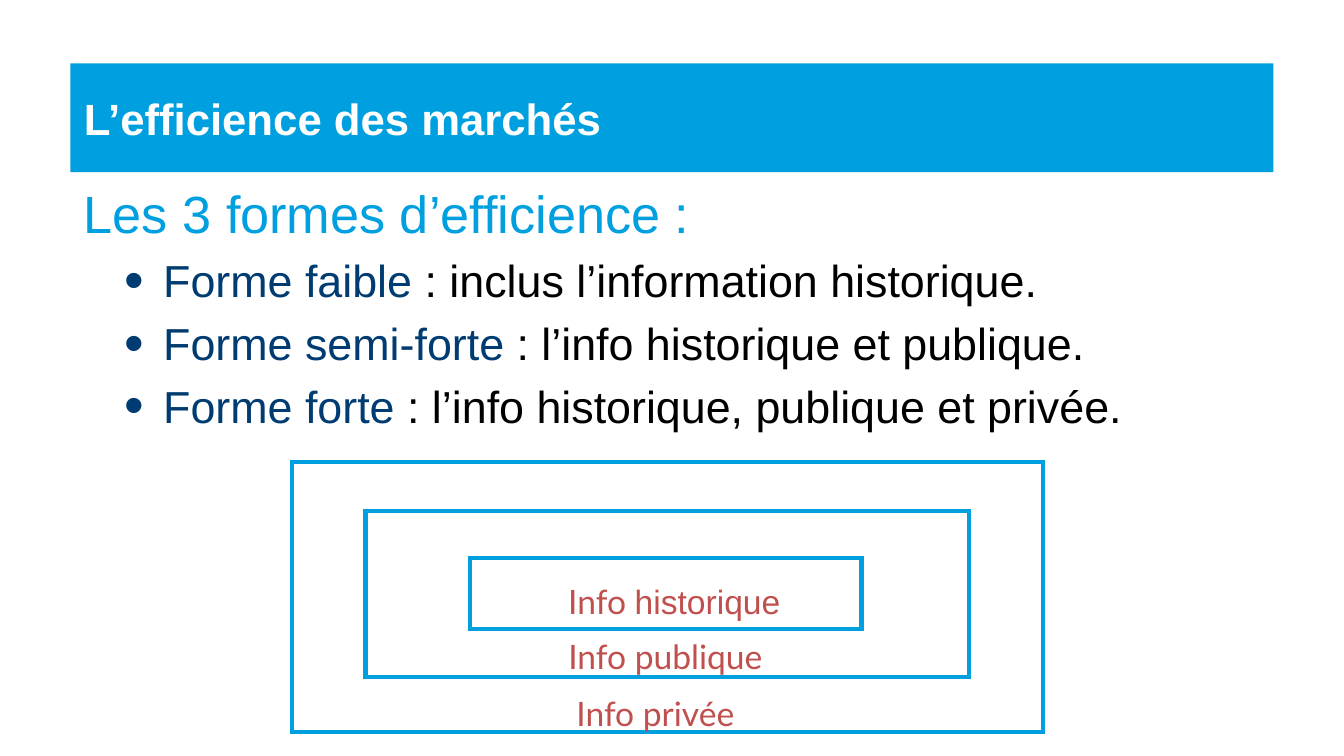
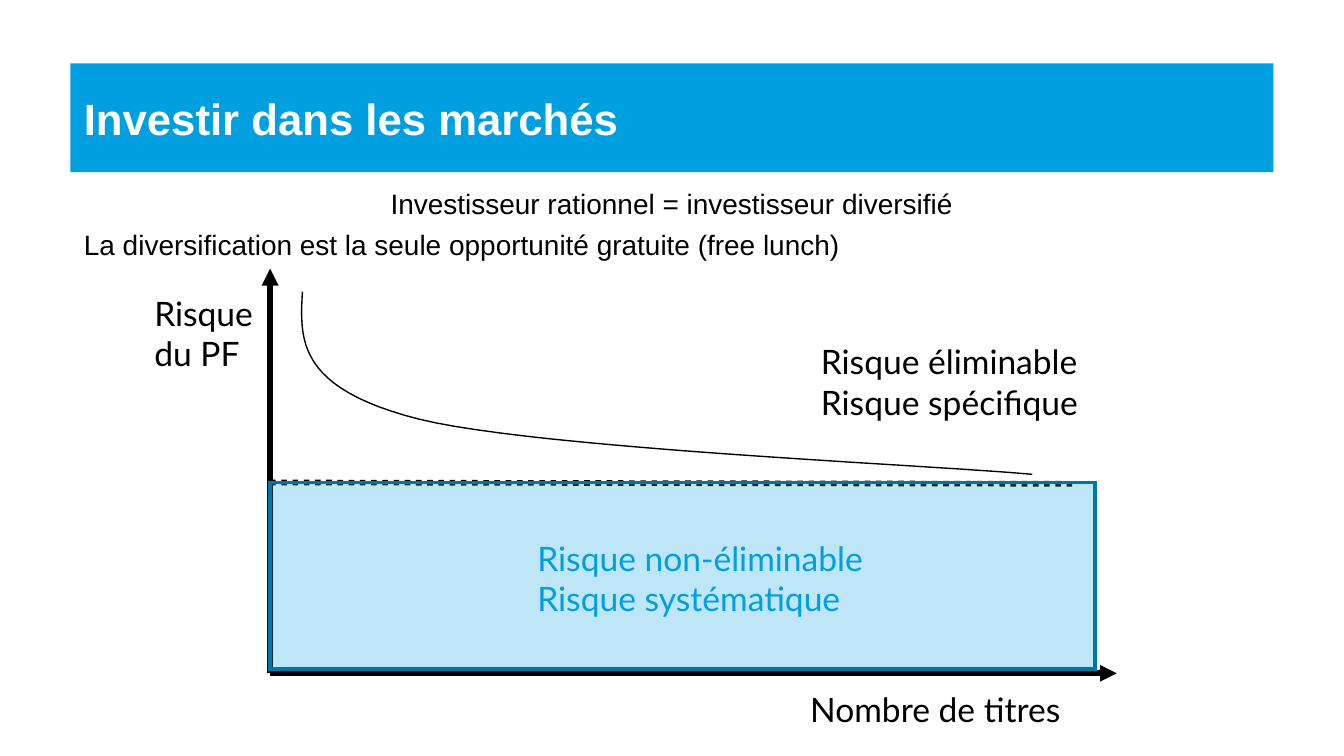
from typing import NamedTuple, Optional

from lxml.etree import SubElement
from pptx import Presentation
from pptx.dml.color import RGBColor
from pptx.enum.dml import MSO_LINE
from pptx.enum.shapes import MSO_CONNECTOR, MSO_SHAPE
from pptx.enum.text import MSO_ANCHOR, MSO_AUTO_SIZE, PP_ALIGN
from pptx.oxml.ns import qn
from pptx.util import Emu, Inches, Pt

# Palette and fonts
SKY = RGBColor(0x00, 0x9F, 0xDF)
NAVY = RGBColor(0x00, 0x3C, 0x71)
TEAL = RGBColor(0x00, 0x76, 0xA5)
RED = RGBColor(0xC0, 0x50, 0x4D)
BLACK = RGBColor(0x00, 0x00, 0x00)
WHITE = RGBColor(0xFF, 0xFF, 0xFF)
ARIAL, LATO = "Arial", "Lato"

# Grid: 100 columns by 56.25 rows, each a tenth of an inch
UNIT = Inches(0.1)
COLS, ROWS = 100, 56.25


def grid(count: float) -> Emu:
    return Emu(round(count * UNIT))


class Box(NamedTuple):
    left: float
    top: float
    width: float
    height: float

    def place(self) -> list[Emu]:
        return [grid(side) for side in self]


class Run(NamedTuple):
    text: str
    color: Optional[RGBColor] = None
    font: Optional[str] = None


class Label(NamedTuple):
    box: Box
    lines: list
    color: RGBColor = BLACK
    wrap: bool = False


class Line(NamedTuple):
    start: tuple[float, float]
    end: tuple[float, float]
    arrow: bool = False
    dash: Optional[MSO_LINE] = None


BAND = Box(5.24, 4.72, 89.5, 8.1)


# Text
def write(frame, lines, *, size, color=BLACK, font=ARIAL, bold=False,
          align=PP_ALIGN.LEFT, before=0, bullet=False, more=False) -> None:
    """Write lines, each a string or a list of runs; more adds to the frame."""
    for nth, line in enumerate(lines):
        first = nth == 0 and not more
        par = frame.paragraphs[0] if first else frame.add_paragraph()
        par.alignment = align
        par.space_before = Pt(0 if first else before)
        props = par._p.get_or_add_pPr()
        if bullet:
            par.level = 1
            mark(props)
        else:
            props.set("marL", "0")
            props.set("indent", "0")
            SubElement(props, qn("a:buNone"))
        for part in [Run(line)] if isinstance(line, str) else line:
            run = par.add_run()
            run.text = part.text
            run.font.name = part.font or font
            run.font.size = Pt(size)
            run.font.bold = bold
            run.font.color.rgb = part.color or color


def mark(props) -> None:
    """Give a paragraph the round navy bullet and its hanging indent."""
    props.set("marL", str(grid(5.9)))
    props.set("indent", str(grid(-2.9)))
    tint = SubElement(props, qn("a:buClr"))
    SubElement(tint, qn("a:srgbClr"), val=str(NAVY))
    SubElement(props, qn("a:buSzPct"), val="125000")
    SubElement(props, qn("a:buFont"), typeface=ARIAL)
    SubElement(props, qn("a:buChar"), char="•")


def draw_label(slide, label: Label) -> None:
    frame = slide.shapes.add_textbox(*label.box.place()).text_frame
    frame.word_wrap = label.wrap
    frame.auto_size = MSO_AUTO_SIZE.SHAPE_TO_FIT_TEXT
    write(frame, label.lines, size=18, color=label.color, font=LATO)


# Shapes
def draw_rect(slide, box: Box, *, line: RGBColor, width: float,
              fill: Optional[RGBColor] = None, alpha: int = 100) -> None:
    rect = slide.shapes.add_shape(MSO_SHAPE.RECTANGLE, *box.place())
    rect.shadow.inherit = False
    rect.line.color.rgb = line
    rect.line.width = Pt(width)
    SubElement(rect.line._get_or_add_ln(), qn("a:miter"), lim="800000")
    if fill is None:
        rect.fill.background()
        return
    rect.fill.solid()
    rect.fill.fore_color.rgb = fill
    tint = rect._element.spPr.find(f"{qn('a:solidFill')}/{qn('a:srgbClr')}")
    SubElement(tint, qn("a:alpha"), val=str(alpha * 1000))


def draw_line(slide, line: Line) -> None:
    ends = [grid(n) for n in (*line.start, *line.end)]
    link = slide.shapes.add_connector(MSO_CONNECTOR.STRAIGHT, *ends)
    link.line.color.rgb = BLACK
    link.line.width = Pt(3)
    if line.dash:
        link.line.dash_style = line.dash
    if line.arrow:
        SubElement(link.line._get_or_add_ln(), qn("a:tailEnd"), type="triangle")
    SubElement(link._element.spPr, qn("a:effectLst"))


def draw_curve(slide, start, arcs, steps: int = 24) -> None:
    """Trace cubic arcs, each two handles and an end, as short chords."""
    dots, here = [], start
    for arc in arcs:
        knots = (here, *arc)
        for step in range(1, steps + 1):
            t = step / steps
            s = 1 - t
            rates = (s**3, 3 * s * s * t, 3 * s * t * t, t**3)
            dots.append(tuple(
                grid(sum(rate * knot[axis] for rate, knot in zip(rates, knots)))
                for axis in (0, 1)))
        here = arc[-1]
    pen = slide.shapes.build_freeform(grid(start[0]), grid(start[1]))
    pen.add_line_segments(dots, close=False)
    curve = pen.convert_to_shape()
    curve.shadow.inherit = False
    curve.fill.background()
    curve.line.color.rgb = BLACK
    curve.line.width = Pt(0.75)


# Shared page: title band and body
def add_page(deck, title: str, body: Box):
    slide = deck.slides.add_slide(deck.slide_layouts[1])
    band, text = slide.placeholders
    for holder, box in ((band, BAND), (text, body)):
        holder.left, holder.top, holder.width, holder.height = box.place()
        holder.text_frame.auto_size = MSO_AUTO_SIZE.NONE
    band.fill.solid()
    band.fill.fore_color.rgb = SKY
    band.text_frame.vertical_anchor = MSO_ANCHOR.MIDDLE
    write(band.text_frame, [title], size=23.4, color=WHITE, bold=True)
    return slide, text.text_frame


def add_forms(deck) -> None:
    slide, body = add_page(deck, "L’efficience des marchés",
                           Box(5.24, 13, 89.5, 33.9))
    write(body, ["Les 3 formes d’efficience :"], size=28, color=SKY)
    forms = [
        ("Forme faible ", ": inclus l’information historique."),
        ("Forme semi-forte ", ": l’info historique et publique."),
        ("Forme forte ", ": l’info historique, publique et privée."),
    ]
    write(body, [[Run(name, NAVY), Run(rest)] for name, rest in forms],
          size=24, before=4.8, bullet=True, more=True)

    # Nested levels of information
    for box in (Box(35, 41.5, 29.1, 5.3), Box(27.2, 38, 44.9, 12.4),
                Box(21.7, 34.4, 55.9, 20.1)):
        draw_rect(slide, box, line=SKY, width=2.25)
    past = [Run("Info "), Run("historique", font=ARIAL)]
    for label in (
        Label(Box(41.3, 42.7, 19, 4), [past], RED, wrap=True),
        Label(Box(41.3, 46.8, 16.8, 4), ["Info publique"], RED),
        Label(Box(41.9, 51.1, 14.1, 4), ["Info privée"], RED),
    ):
        draw_label(slide, label)


def add_risk(deck) -> None:
    slide, body = add_page(deck, "Investir dans les marchés",
                           Box(5.24, 13.4, 89.5, 33.5))
    write(body, ["Investisseur rationnel = investisseur diversifié"],
          size=15, align=PP_ALIGN.CENTER)
    write(body, ["La diversification est la seule opportunité gratuite (free lunch)"],
          size=15, before=3.8, more=True)

    # Axes and floor of the risk
    zero = (20.1, 50.1)
    for line in (
        Line(zero, (20.1, 20), arrow=True),
        Line(zero, (83.1, 50.1), arrow=True),
        Line((20.1, 35.9), (80, 36), dash=MSO_LINE.ROUND_DOT),
    ):
        draw_line(slide, line)
    for label in (
        Label(Box(10.5, 21.3, 9.4, 7.1), ["Risque", "du PF"]),
        Label(Box(59.3, 50.8, 20.8, 4), ["Nombre de titres"]),
        Label(Box(60.1, 24.9, 21.4, 7.1),
              ["Risque éliminable", "Risque spécifique"]),
        Label(Box(39, 39.5, 26.5, 7.1),
              ["Risque non-éliminable", "Risque systématique"], SKY),
    ):
        draw_label(slide, label)

    # Risk curve and the part that stays
    draw_curve(slide, (22.5, 21.7), [
        ((22.3, 25.3), (22.1, 28.9), (31.2, 31.2)),
        ((40.2, 33.4), (69.2, 34.6), (76.8, 35.3)),
    ])
    draw_rect(slide, Box(20.1, 35.9, 61.4, 13.9), line=TEAL, width=2,
              fill=SKY, alpha=25)


def main() -> None:
    deck = Presentation()
    deck.slide_width, deck.slide_height = grid(COLS), grid(ROWS)
    add_forms(deck)
    add_risk(deck)
    deck.save("out.pptx")


if __name__ == "__main__":
    main()
